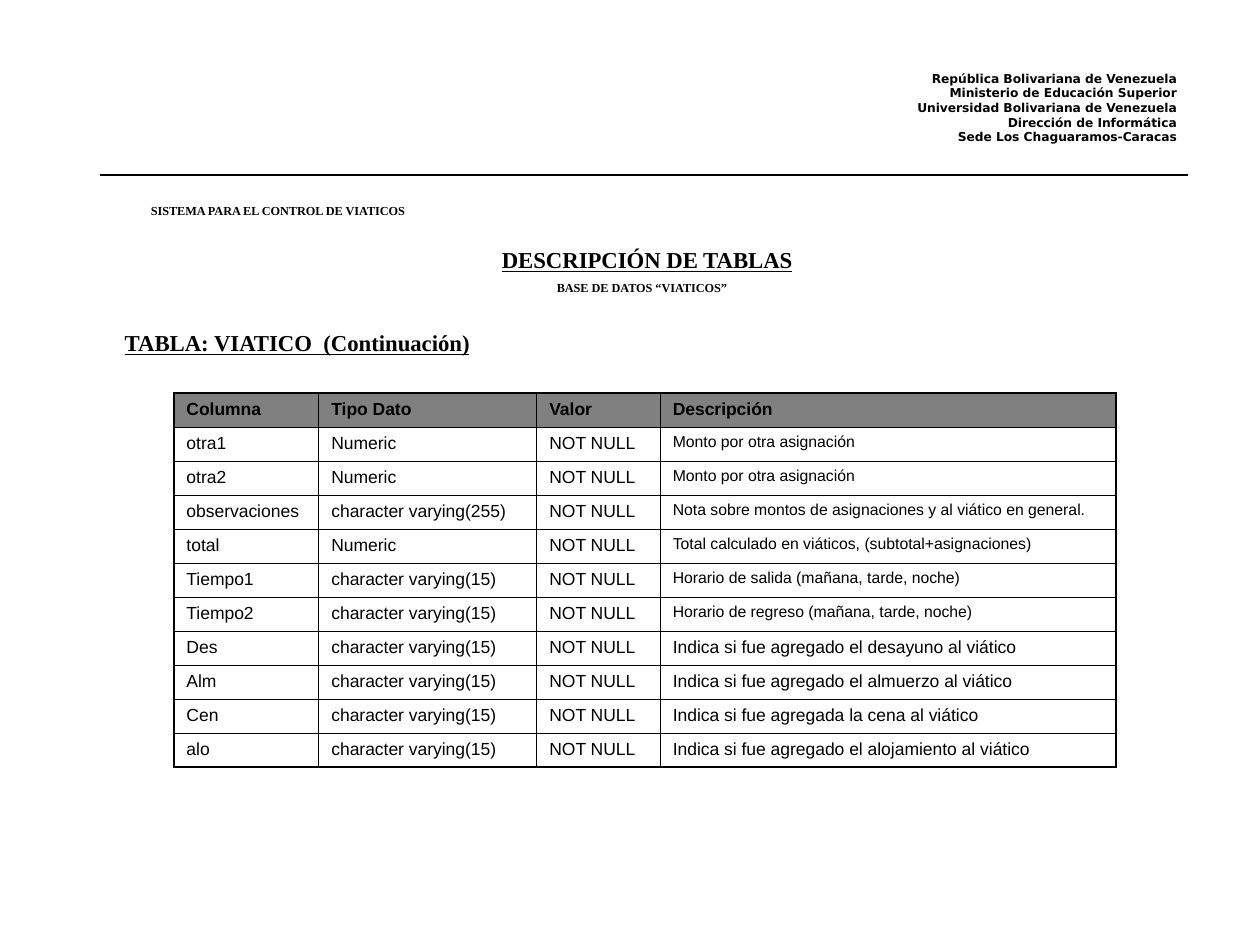
from lxml import etree
from pptx import Presentation
from pptx.dml.color import RGBColor
from pptx.enum.shapes import MSO_CONNECTOR
from pptx.enum.text import MSO_ANCHOR, PP_ALIGN
from pptx.oxml.ns import qn
from pptx.util import Inches, Pt

COLUMNS = [1.15, 1.73, 0.98, 3.62]
HEADINGS = ["Columna", "Tipo Dato", "Valor", "Descripción"]
FIELDS = [
    ("otra1", "Numeric", "Monto por otra asignación", 9, 5.6),
    ("otra2", "Numeric", "Monto por otra asignación", 9, 5.6),
    ("observaciones", "character varying(255)",
     "Nota sobre montos de asignaciones y al viático en general.", 9, 5.6),
    ("total", "Numeric", "Total calculado en viáticos, (subtotal+asignaciones)", 9, 5.6),
    ("Tiempo1", "character varying(15)", "Horario de salida (mañana, tarde, noche)", 9, 5.6),
    ("Tiempo2", "character varying(15)", "Horario de regreso (mañana, tarde, noche)", 9, 5.6),
    ("Des", "character varying(15)", "Indica si fue agregado el desayuno al viático", 10, 6.2),
    ("Alm", "character varying(15)", "Indica si fue agregado el almuerzo al viático", 10, 6.2),
    ("Cen", "character varying(15)", "Indica si fue agregada la cena al viático", 10, 6.2),
    ("alo", "character varying(15)", "Indica si fue agregado el alojamiento al viático", 10, 6.2),
]


def color(value):
    return RGBColor.from_string(value)


class Page:
    ink = "000000"
    header_fill = "808080"
    serif = "Times New Roman"
    sans = "Arial"
    thin, thick = 0.45, 1.08

    def __init__(self, slide):
        self.slide = slide

    def style(self, p, size, font, bold=False, underline=None):
        for r in p.runs:
            r.font.size = Pt(size)
            r.font.name = font
            r.font.bold = bold
            r.font.underline = underline
            r.font.color.rgb = color(self.ink)

    def text(self, box, lines, size, font=serif, align=PP_ALIGN.CENTER, first_spacing=12.7,
             underline=None, wrap=False, margins=(0, 0)):
        tf = self.slide.shapes.add_textbox(*map(Inches, box)).text_frame
        tf.word_wrap = wrap
        tf.vertical_anchor = MSO_ANCHOR.MIDDLE
        tf.margin_left = tf.margin_right = Inches(margins[0])
        tf.margin_top = tf.margin_bottom = Inches(margins[1])
        tf.text = "\n".join(lines)
        tf.paragraphs[0].line_spacing = Pt(first_spacing)
        for p in tf.paragraphs:
            p.alignment = align
            self.style(p, size, font, True, underline)

    def rule(self, x1, x2, y, width):
        line = self.slide.shapes.add_connector(
            MSO_CONNECTOR.STRAIGHT, Inches(x1), Inches(y), Inches(x2), Inches(y))
        line.line.color.rgb = color(self.ink)
        line.line.width = Pt(width)
        etree.SubElement(line._element.spPr, qn("a:effectLst"))

    def border(self, cell, side, width):
        ln = etree.SubElement(cell._tc.get_or_add_tcPr(), qn("a:ln" + side), w=str(Pt(width)))
        fill = etree.SubElement(ln, qn("a:solidFill"))
        etree.SubElement(fill, qn("a:srgbClr"), val=self.ink)

    def table(self, left, top, widths, row_height, headings, fields):
        rows = [[(h, 10, 2.5) for h in headings]]
        for name, kind, description, size, before in fields:
            rows.append([(name, 10, 2.5), (kind, 10, 2.5), ("NOT NULL", 10, 2.5),
                         (description, size, before)])
        last_row, last_col = len(rows) - 1, len(widths) - 1
        table = self.slide.shapes.add_table(
            len(rows), len(widths), Inches(left), Inches(top),
            Inches(sum(widths)), Inches(row_height * len(rows))).table
        table.first_row = table.horz_banding = False
        for column, width in zip(table.columns, widths):
            column.width = Inches(width)
        for i, row in enumerate(rows):
            table.rows[i].height = Inches(row_height)
            for j, (text, size, before) in enumerate(row):
                cell = table.cell(i, j)
                edges = {"L": j == 0, "R": j == last_col, "T": i == 0, "B": i == last_row}
                for side, outer in edges.items():
                    self.border(cell, side, self.thick if outer else self.thin)
                if i == 0:
                    cell.fill.solid()
                    cell.fill.fore_color.rgb = color(self.header_fill)
                else:
                    cell.fill.background()
                cell.text = text
                p = cell.text_frame.paragraphs[0]
                p.space_before = Pt(before)
                self.style(p, size, self.sans, i == 0)


prs = Presentation()
prs.slide_width, prs.slide_height = Inches(10), Inches(7.5)
page = Page(prs.slides.add_slide(prs.slide_layouts[6]))

page.table(1.38, 3.12, COLUMNS, 0.27, HEADINGS, FIELDS)
page.text((7.07, 0.33, 2.36, 0.86),
          ["República Bolivariana de Venezuela", "Ministerio de Educación Superior",
           "Universidad Bolivariana de Venezuela", "Dirección de Informática",
           "Sede Los Chaguaramos-Caracas"],
          7, "DejaVu Sans", PP_ALIGN.RIGHT, 21.9, wrap=True, margins=(0.09, 0.05))
page.rule(0.79, 9.43, 1.39, 0.74)
page.text((-0.93, 1.47, 6.27, 0.34), ["SISTEMA PARA EL CONTROL DE VIATICOS"], 7)
page.text((1.96, 2.08, 6.27, 0.34), ["BASE DE DATOS “VIATICOS”"], 7)
page.text((3.57, 1.91, 3.13, 0.34), ["DESCRIPCIÓN DE TABLAS"], 13, underline=True)
page.text((0.99, 2.57, 3.13, 0.34), ["TABLA: VIATICO  (Continuación)"], 13,
          align=PP_ALIGN.LEFT, underline=True)

prs.save("out.pptx")
